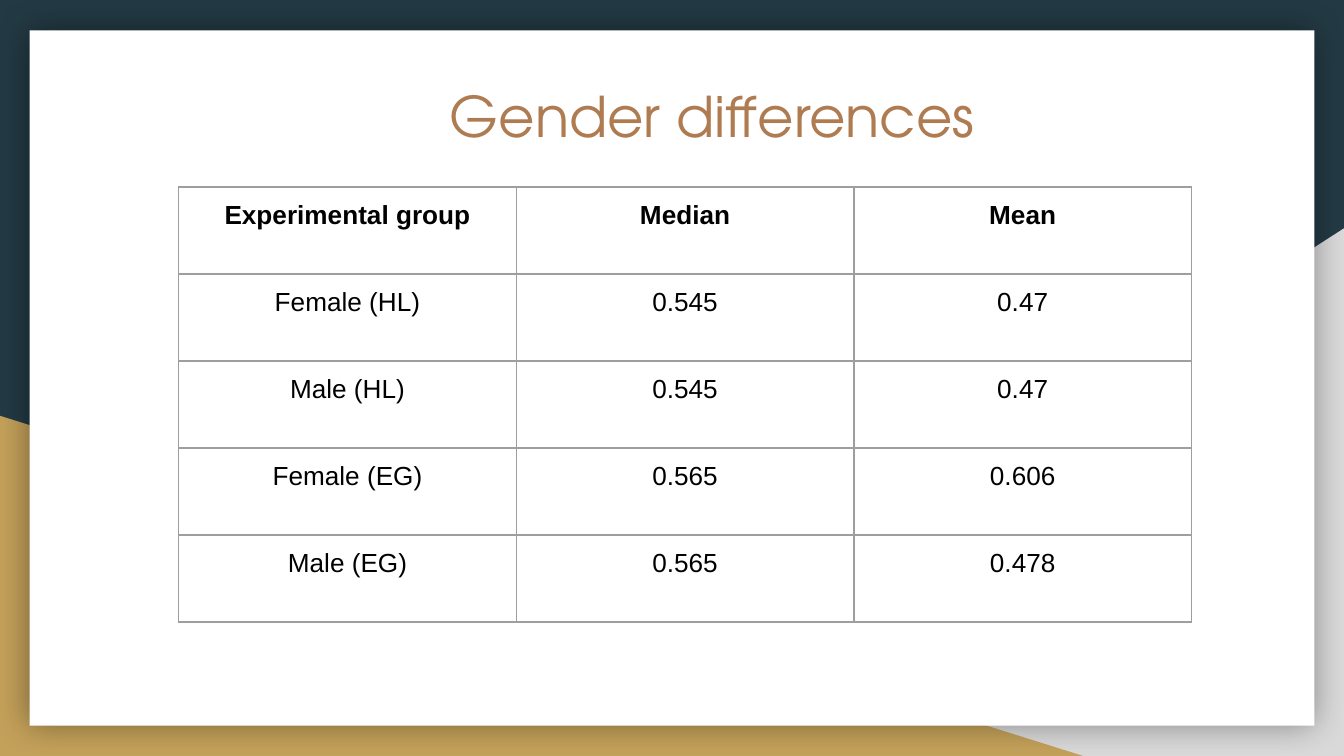
from typing import NamedTuple

from lxml import etree
from pptx import Presentation
from pptx.dml.color import RGBColor
from pptx.enum.shapes import MSO_SHAPE
from pptx.enum.text import MSO_ANCHOR, PP_ALIGN
from pptx.oxml.ns import qn
from pptx.util import Inches, Pt

RECT, WEDGE = MSO_SHAPE.RECTANGLE, MSO_SHAPE.RIGHT_TRIANGLE
CENTER, TOP = PP_ALIGN.CENTER, MSO_ANCHOR.TOP
WIDE = Inches(10)
HIGH = WIDE * 9 // 16
INSET = Inches(0.1)
BLACK, GRID = "000000", "9E9E9E"


class Box(NamedTuple):
    """Left, top, width and height in percent of the slide."""

    left: float
    top: float
    width: float
    height: float

    def place(self) -> tuple[int, int, int, int]:
        """Return the lengths in slide units."""
        sides = (WIDE, HIGH, WIDE, HIGH)
        return tuple(int(side * share / 100) for side, share in zip(sides, self))


class Panel(NamedTuple):
    """A plain filled shape of the backdrop."""

    kind: int
    box: Box
    color: str
    flip: bool = False
    shade: bool = False


PANELS = [
    Panel(WEDGE, Box(39.2, 30.2, 60.8, 69.8), "D9D9D9", flip=True),
    Panel(WEDGE, Box(0, 55, 80.6, 45), "C4A15A"),
    Panel(RECT, Box(2.2, 4, 95.6, 92), "FFFFFF", shade=True),
]
TITLE = Box(11.95, 9, 82.1, 18.5)
TABLE = Box(13.3, 24.75, 75.36, 57.55)
ROWS = [
    ("Experimental group", "Median", "Mean"),
    ("Female (HL)", "0.545", "0.47"),
    ("Male (HL)", "0.545", "0.47"),
    ("Female (EG)", "0.565", "0.606"),
    ("Male (EG)", "0.565", "0.478"),
]


def tint(code: str) -> RGBColor:
    """Turn a hex string into a colour."""
    return RGBColor.from_string(code)


def add_shade(shape) -> None:
    """Give a shape a soft dark glow behind its edges."""
    effects = shape.element.spPr.find(qn("a:effectLst"))
    shade = etree.SubElement(effects, qn("a:outerShdw"), blurRad=str(Pt(18)), dist="0", dir="0", algn="ctr", rotWithShape="0")
    color = etree.SubElement(shade, qn("a:srgbClr"), val=BLACK)
    etree.SubElement(color, qn("a:alpha"), val="40000")


def draw_panel(slide, panel: Panel) -> None:
    """Draw one shape of the backdrop."""
    shape = slide.shapes.add_shape(panel.kind, *panel.box.place())
    shape.shadow.inherit = False
    shape.fill.solid()
    shape.fill.fore_color.rgb = tint(panel.color)
    shape.line.fill.background()
    if panel.flip:
        shape.element.spPr.get_or_add_xfrm().set("flipH", "1")
    if panel.shade:
        add_shade(shape)


def style_text(frame, font: str, size: int, color: str, bold: bool = False) -> None:
    """Centre the text and format its runs."""
    for para in frame.paragraphs:
        para.alignment = CENTER
        for run in para.runs:
            run.font.name, run.font.size, run.font.bold = font, Pt(size), bold
            run.font.color.rgb = tint(color)


def set_inset(holder) -> None:
    """Give a frame or cell even margins and top-aligned text."""
    holder.margin_left = holder.margin_right = INSET
    holder.margin_top = holder.margin_bottom = INSET
    holder.vertical_anchor = TOP


def draw_title(slide, text: str) -> None:
    """Draw the heading."""
    frame = slide.shapes.add_textbox(*TITLE.place()).text_frame
    frame.word_wrap = True
    set_inset(frame)
    frame.text = text
    style_text(frame, "TeX Gyre Adventor", 30, "AF7B51")


def add_border(cell) -> None:
    """Line all four sides of a cell."""
    props = cell._tc.get_or_add_tcPr()
    for side in ("L", "R", "T", "B"):
        line = etree.SubElement(props, qn(f"a:ln{side}"), w=str(Pt(0.75)))
        fill = etree.SubElement(line, qn("a:solidFill"))
        etree.SubElement(fill, qn("a:srgbClr"), val=GRID)


def draw_table(slide, rows: list[tuple[str, ...]]) -> None:
    """Draw the results with an even grid and a bold head row."""
    table = slide.shapes.add_table(len(rows), len(rows[0]), *TABLE.place()).table
    table.first_row = table.horz_banding = False
    for i, row in enumerate(rows):
        for j, text in enumerate(row):
            cell = table.cell(i, j)
            add_border(cell)
            cell.fill.background()
            set_inset(cell)
            cell.text_frame.text = text
            style_text(cell.text_frame, "Arial", 14, BLACK, bold=i == 0)


def main() -> None:
    """Build and save the slide."""
    deck = Presentation()
    deck.slide_width, deck.slide_height = WIDE, HIGH
    slide = deck.slides.add_slide(deck.slide_layouts[6])
    slide.background.fill.solid()
    slide.background.fill.fore_color.rgb = tint("233A44")
    for panel in PANELS:
        draw_panel(slide, panel)
    draw_title(slide, "Gender differences")
    draw_table(slide, ROWS)
    deck.save("out.pptx")


if __name__ == "__main__":
    main()
